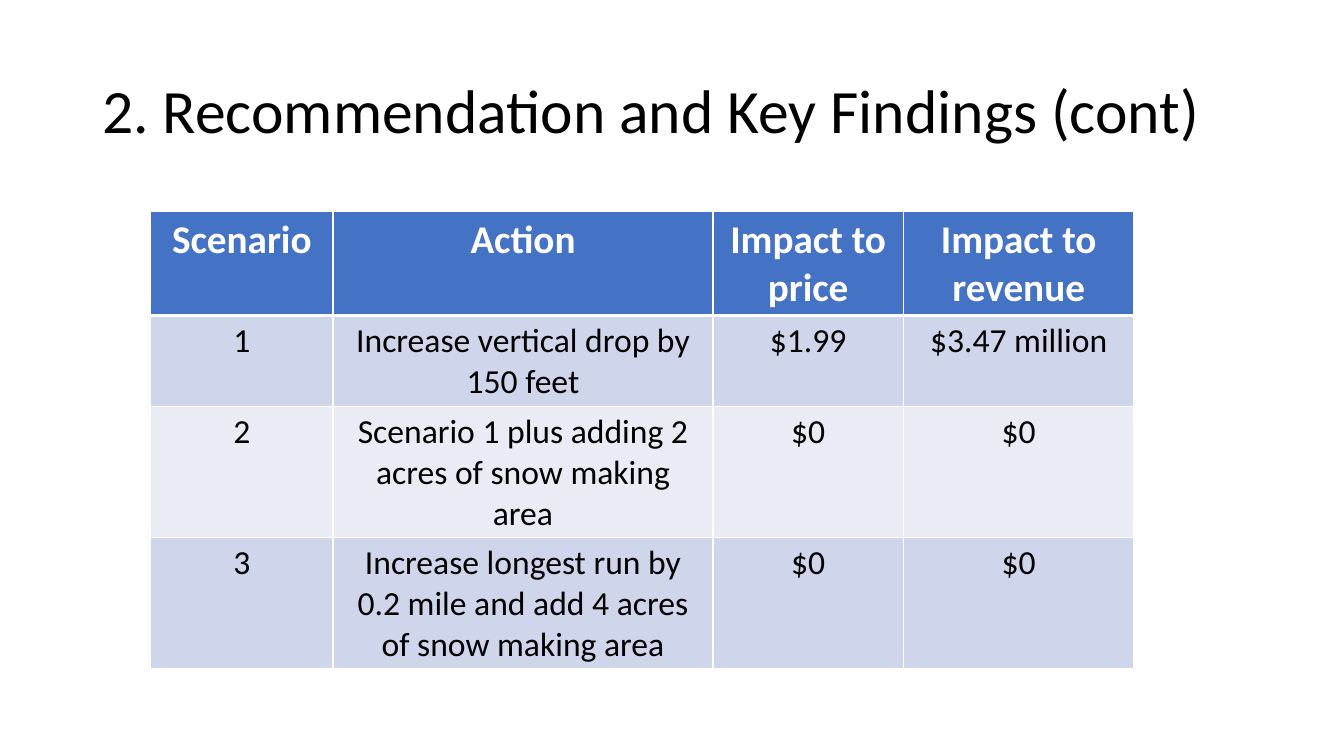
from dataclasses import dataclass

from pptx import Presentation
from pptx.dml.color import RGBColor
from pptx.enum import text
from pptx.oxml import parse_xml
from pptx.oxml.ns import nsdecls
from pptx.util import Pt


@dataclass(frozen=True)
class Theme:
    font: str = "Calibri"
    title_size: int = 44
    header_size: int = 28
    body_size: int = 24
    ink: str = "000000"
    white: str = "FFFFFF"
    header_fill: str = "4472C4"
    band_fills: tuple = ("CFD5EA", "E9EBF5")
    thin_line: int = 1
    thick_line: int = 3


THEME = Theme()
COLUMN_WIDTHS = (130.3, 271.4, 136, 164.8)
MINIMUM_ROW_HEIGHT = 29.5
SCENARIOS = (
    ("Scenario", "Action", "Impact to price", "Impact to revenue"),
    ("1", "Increase vertical drop by 150 feet", "$1.99", "$3.47 million"),
    ("2", "Scenario 1 plus adding 2 acres of snow making area", "$0", "$0"),
    ("3", "Increase longest run by 0.2 mile and add 4 acres of snow making area",
     "$0", "$0"),
)


def write_text(frame, words, size, color, bold=False, **paragraph_format):
    paragraph = frame.paragraphs[0]
    for name, value in paragraph_format.items():
        setattr(paragraph, name, value)
    run = paragraph.add_run()
    run.text = words
    font_format = {"name": THEME.font, "size": Pt(size), "bold": bold}
    for name, value in font_format.items():
        setattr(run.font, name, value)
    run.font.color.rgb = RGBColor.from_string(color)


def add_title(slide, words):
    box = slide.shapes.add_textbox(Pt(66), Pt(28.75), Pt(828), Pt(104.4))
    frame_format = {
        "word_wrap": True,
        "vertical_anchor": text.MSO_ANCHOR.MIDDLE,
    }
    for name, value in frame_format.items():
        setattr(box.text_frame, name, value)
    write_text(box.text_frame, words, THEME.title_size, THEME.ink, line_spacing=0.9)


def set_borders(cell, widths):
    """Draw white cell borders; widths maps each side (L, R, T, B) to points."""
    properties = cell._tc.get_or_add_tcPr()
    for side, width in widths.items():
        properties.append(parse_xml(
            f'<a:ln{side} {nsdecls("a")} w="{Pt(width)}"><a:solidFill>'
            f'<a:srgbClr val="{THEME.white}"/></a:solidFill></a:ln{side}>'))


def fill_cell(cell, words, row_index):
    is_header = row_index == 0
    widths = dict.fromkeys("LRTB", THEME.thin_line)
    if row_index < 2:
        widths["B" if is_header else "T"] = THEME.thick_line
    set_borders(cell, widths)
    if is_header:
        fill, size, color = THEME.header_fill, THEME.header_size, THEME.white
    else:
        fill = THEME.band_fills[(row_index - 1) % 2]
        size, color = THEME.body_size, THEME.ink
    cell.fill.solid()
    cell.fill.fore_color.rgb = RGBColor.from_string(fill)
    write_text(cell.text_frame, words, size, color, bold=is_header,
               alignment=text.PP_ALIGN.CENTER)


def add_scenario_table(slide, rows):
    frame = slide.shapes.add_table(
        len(rows), len(COLUMN_WIDTHS), Pt(107.6), Pt(150.8), Pt(702), Pt(326))
    table = frame.table
    for column, width in zip(table.columns, COLUMN_WIDTHS):
        column.width = Pt(width)
    for row_index, (row, values) in enumerate(zip(table.rows, rows)):
        row.height = Pt(MINIMUM_ROW_HEIGHT)
        for cell, words in zip(row.cells, values):
            fill_cell(cell, words, row_index)
    frame.height = Pt(326)


def main():
    presentation = Presentation()
    presentation.slide_width, presentation.slide_height = Pt(960), Pt(540)
    slide = presentation.slides.add_slide(presentation.slide_layouts[6])
    add_title(slide, "2. Recommendation and Key Findings (cont)")
    add_scenario_table(slide, SCENARIOS)
    presentation.save("out.pptx")


if __name__ == "__main__":
    main()
